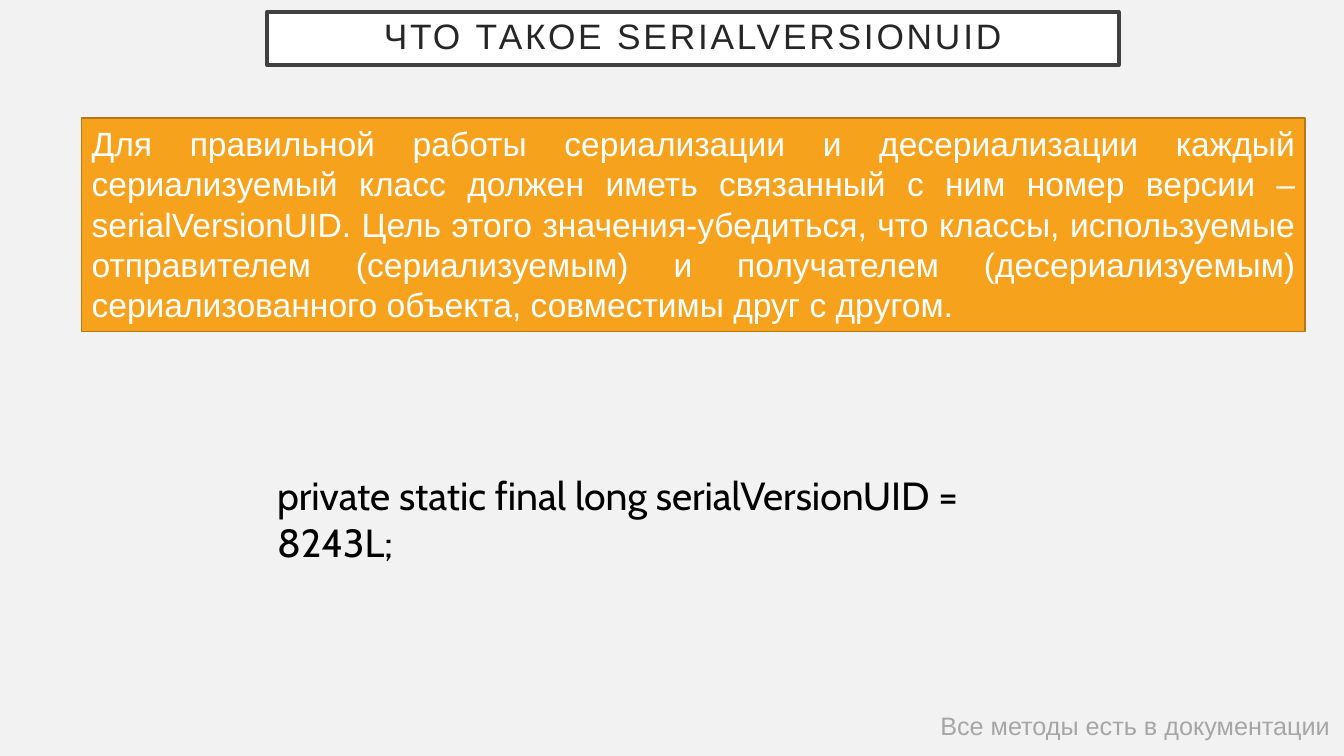
import pptx
import pptx.util
import pptx.dml.color
import pptx.enum.shapes
import pptx.enum.text

Pt = pptx.util.Pt
RGBColor = pptx.dml.color.RGBColor
PP_ALIGN = pptx.enum.text.PP_ALIGN
MSO_ANCHOR = pptx.enum.text.MSO_ANCHOR
MSO_AUTO_SIZE = pptx.enum.text.MSO_AUTO_SIZE

BACKGROUND = RGBColor(0xF2, 0xF2, 0xF2)
WHITE = RGBColor(0xFF, 0xFF, 0xFF)
BLACK = RGBColor(0x00, 0x00, 0x00)
TITLE_TEXT = RGBColor(0x26, 0x26, 0x26)
TITLE_BORDER = RGBColor(0x40, 0x40, 0x40)
ORANGE = RGBColor(0xF6, 0xA2, 0x1D)
DARK_ORANGE = RGBColor(0xB6, 0x78, 0x15)
GREY = RGBColor(0xA6, 0xA6, 0xA6)


def write(box, text, font, size, color, align=PP_ALIGN.LEFT):
    box.text_frame.text = text
    para = box.text_frame.paragraphs[0]
    para.alignment = align
    span = para.runs[0]
    span.font.name = font
    span.font.size = Pt(size)
    span.font.color.rgb = color
    return span


def paint(box, fill, border, width):
    box.fill.solid()
    box.fill.fore_color.rgb = fill
    box.line.color.rgb = border
    box.line.width = Pt(width)


deck = pptx.Presentation()
deck.slide_width = Pt(960)
deck.slide_height = Pt(540)
page = deck.slides.add_slide(deck.slide_layouts[5])
page.background.fill.solid()
page.background.fill.fore_color.rgb = BACKGROUND

title = page.shapes.title
title.left, title.top, title.width, title.height = Pt(190.8), Pt(8.5), Pt(608.4), Pt(38)
paint(title, WHITE, TITLE_BORDER, 2.5)
span = write(title, "ЧТО ТАКОЕ SERIALVERSIONUID", "Arial", 25.2, TITLE_TEXT, PP_ALIGN.CENTER)
span.font._element.set("spc", "200")
frame = title.text_frame
frame.auto_size = MSO_AUTO_SIZE.NONE
frame.vertical_anchor = MSO_ANCHOR.MIDDLE
frame.margin_left = frame.margin_right = frame.margin_top = frame.margin_bottom = Pt(14.4)
frame.paragraphs[0].line_spacing = 0.9

definition = page.shapes.add_shape(
    pptx.enum.shapes.MSO_SHAPE.RECTANGLE, Pt(58.3), Pt(84.2), Pt(874), Pt(152.8))
definition.shadow.inherit = False
paint(definition, ORANGE, DARK_ORANGE, 1)
write(
    definition,
    "Для правильной работы сериализации и десериализации каждый сериализуемый класс "
    "должен иметь связанный с ним номер версии – serialVersionUID. Цель этого "
    "значения-убедиться, что классы, используемые отправителем (сериализуемым) и "
    "получателем (десериализуемым) сериализованного объекта, совместимы друг с другом.",
    "Arial", 24, WHITE, PP_ALIGN.JUSTIFY)
definition.text_frame.word_wrap = True
definition.text_frame.vertical_anchor = MSO_ANCHOR.TOP

code = page.shapes.add_textbox(Pt(190.8), Pt(333.4), Pt(582.5), Pt(41))
write(code, "private static final long serialVersionUID = 8243L;", "Cabin", 28, BLACK)
code.text_frame.word_wrap = True

footnote = page.shapes.add_textbox(Pt(664.6), Pt(504), Pt(295.2), Pt(28.8))
write(footnote, "Все методы есть в документации", "Arial", 18, GREY)
footnote.text_frame.word_wrap = False

deck.save("out.pptx")
